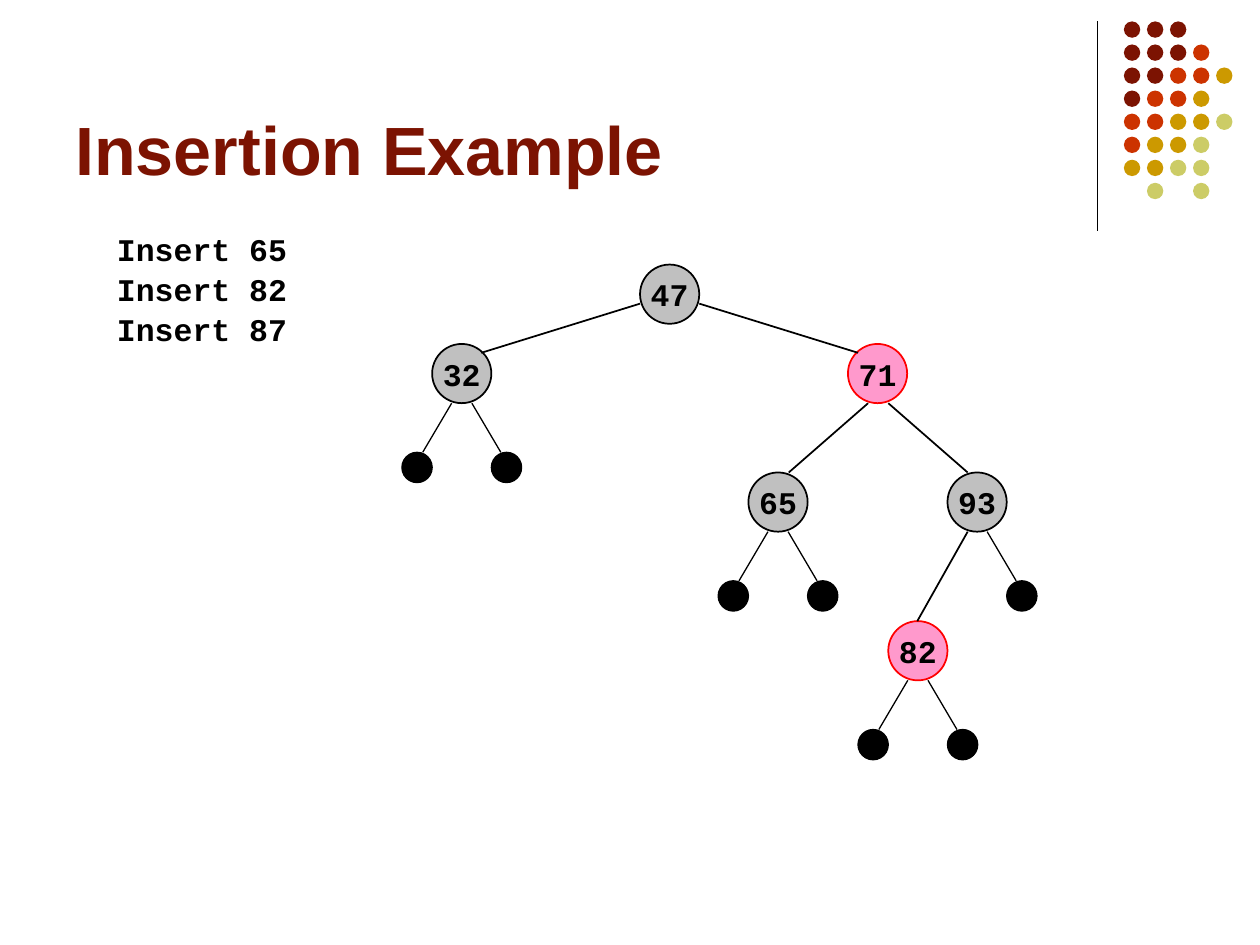
from dataclasses import dataclass

from lxml import etree
from pptx import Presentation
from pptx.dml.color import RGBColor
from pptx.enum.shapes import MSO_CONNECTOR, MSO_SHAPE
from pptx.enum.text import MSO_ANCHOR, PP_ALIGN
from pptx.oxml.ns import qn
from pptx.util import Inches, Pt

OVAL = MSO_SHAPE.OVAL
STRAIGHT = MSO_CONNECTOR.STRAIGHT
TOP, MIDDLE, BOTTOM = MSO_ANCHOR.TOP, MSO_ANCHOR.MIDDLE, MSO_ANCHOR.BOTTOM
LEFT, CENTER = PP_ALIGN.LEFT, PP_ALIGN.CENTER


@dataclass(frozen=True)
class Theme:
    black: str = "000000"
    maroon: str = "7C1302"
    rust: str = "CC3300"
    gold: str = "CC9900"
    olive: str = "CCCC66"
    grey: str = "C0C0C0"
    pink: str = "FF99CC"
    red: str = "FF0000"
    title_font: str = "Arial"
    code_font: str = "Courier New"
    title_size: float = 39
    code_size: float = 18
    thin: float = 0.75
    medium: float = 1


THEME = Theme()
TITLE_FORMAT = {"name": THEME.title_font, "size": Pt(THEME.title_size), "bold": True}
CODE_FORMAT = {"name": THEME.code_font, "size": Pt(THEME.code_size), "bold": True}

NODE_SIZE = 0.47
LEAF_SIZE = 0.24
DOT_SIZE = 0.13
DOT_PITCH = 0.183


@dataclass(frozen=True)
class Node:
    key: str
    left: float
    top: float
    is_red: bool = False
    leaf_sides: tuple[int, ...] = ()  # -1 is a left leaf, 1 a right leaf


@dataclass(frozen=True)
class Edge:
    x1: float
    y1: float
    x2: float
    y2: float


NODES = [
    Node("47", 5.08, 2.1),
    Node("32", 3.43, 2.73, leaf_sides=(-1, 1)),
    Node("71", 6.73, 2.73, is_red=True),
    Node("65", 5.94, 3.75, leaf_sides=(-1, 1)),
    Node("93", 7.52, 3.75, leaf_sides=(1,)),
    Node("82", 7.05, 4.93, is_red=True, leaf_sides=(-1, 1)),
]
EDGES = [
    Edge(5.08, 2.41, 3.82, 2.8),
    Edge(5.55, 2.41, 6.81, 2.8),
    Edge(6.89, 3.2, 6.26, 3.75),
    Edge(7.05, 3.2, 7.68, 3.75),
    Edge(7.68, 4.22, 7.28, 4.93),
]
STEPS = ["Insert 65", "Insert 82", "Insert 87"]

DOT_COLOURS = {"M": THEME.maroon, "R": THEME.rust, "G": THEME.gold, "O": THEME.olive}
DOT_ROWS = ["MMM", "MMMR", "MMRRG", "MRRG", "RRGGO", "RGGO", "GGOO", "-O-O"]


def write(tf, text: str, fmt: dict, colour: str, align, anchor) -> None:
    tf.vertical_anchor = anchor
    p = tf.paragraphs[0]
    p.alignment = align
    r = p.add_run()
    r.text = text
    for name, value in fmt.items():
        setattr(r.font, name, value)
    r.font.color.rgb = RGBColor.from_string(colour)


def add_text(s, text: str, box: tuple, fmt: dict, colour: str, anchor=TOP) -> None:
    tf = s.shapes.add_textbox(*map(Inches, box)).text_frame
    tf.word_wrap = True
    write(tf, text, fmt, colour, LEFT, anchor)


def add_circle(s, left: float, top: float, size: float, fill: str,
               line: str | None = None, width: float = THEME.thin):
    sp = s.shapes.add_shape(OVAL, *map(Inches, (left, top, size, size)))
    sp.shadow.inherit = False
    sp.fill.solid()
    sp.fill.fore_color.rgb = RGBColor.from_string(fill)
    if line:
        sp.line.color.rgb = RGBColor.from_string(line)
        sp.line.width = Pt(width)
    else:
        sp.line.fill.background()
    return sp


def add_line(s, edge: Edge, width: float) -> None:
    ends = map(Inches, (edge.x1, edge.y1, edge.x2, edge.y2))
    line = s.shapes.add_connector(STRAIGHT, *ends)
    line.line.color.rgb = RGBColor.from_string(THEME.black)
    line.line.width = Pt(width)
    etree.SubElement(line._element.spPr, qn("a:effectLst"))


def add_node(s, node: Node) -> None:
    fill, line = (THEME.pink, THEME.red) if node.is_red else (THEME.grey, THEME.black)
    sp = add_circle(s, node.left, node.top, NODE_SIZE, fill, line, THEME.medium)
    tf = sp.text_frame
    tf.word_wrap = False
    for side in ("left", "right", "top", "bottom"):
        setattr(tf, f"margin_{side}", 0)
    write(tf, node.key, CODE_FORMAT, THEME.black, CENTER, MIDDLE)


def add_leaf(s, node: Node, side: int) -> None:
    centre = node.left + NODE_SIZE / 2
    bottom = node.top + NODE_SIZE
    top = bottom + 0.39
    add_line(s, Edge(centre + side * 0.08, bottom, centre + side * 0.31, top), THEME.thin)
    left = centre + side * 0.355 - LEAF_SIZE / 2
    add_circle(s, left, top, LEAF_SIZE, THEME.black, THEME.black)


def main() -> None:
    prs = Presentation()
    prs.slide_width, prs.slide_height = Inches(10), Inches(7.5)
    s = prs.slides.add_slide(prs.slide_layouts[6])

    # Corner ornament
    add_line(s, Edge(8.71, 0.17, 8.71, 1.83), THEME.thin)
    for row, letters in enumerate(DOT_ROWS):
        for col, letter in enumerate(letters):
            if letter in DOT_COLOURS:
                add_circle(s, 8.92 + col * DOT_PITCH, 0.17 + row * DOT_PITCH,
                           DOT_SIZE, DOT_COLOURS[letter])

    # Title and insertion steps
    add_text(s, "Insertion Example", (0.5, 0.13, 8.25, 1.42),
             TITLE_FORMAT, THEME.maroon, BOTTOM)
    for i, step in enumerate(STEPS):
        add_text(s, step, (0.83, 1.78 + i * 0.315, 2.6, 0.4), CODE_FORMAT, THEME.black)

    # Tree
    for node in NODES:
        add_node(s, node)
    for edge in EDGES:
        add_line(s, edge, THEME.medium)
    for node in NODES:
        for side in node.leaf_sides:
            add_leaf(s, node, side)

    prs.save("out.pptx")


if __name__ == "__main__":
    main()
